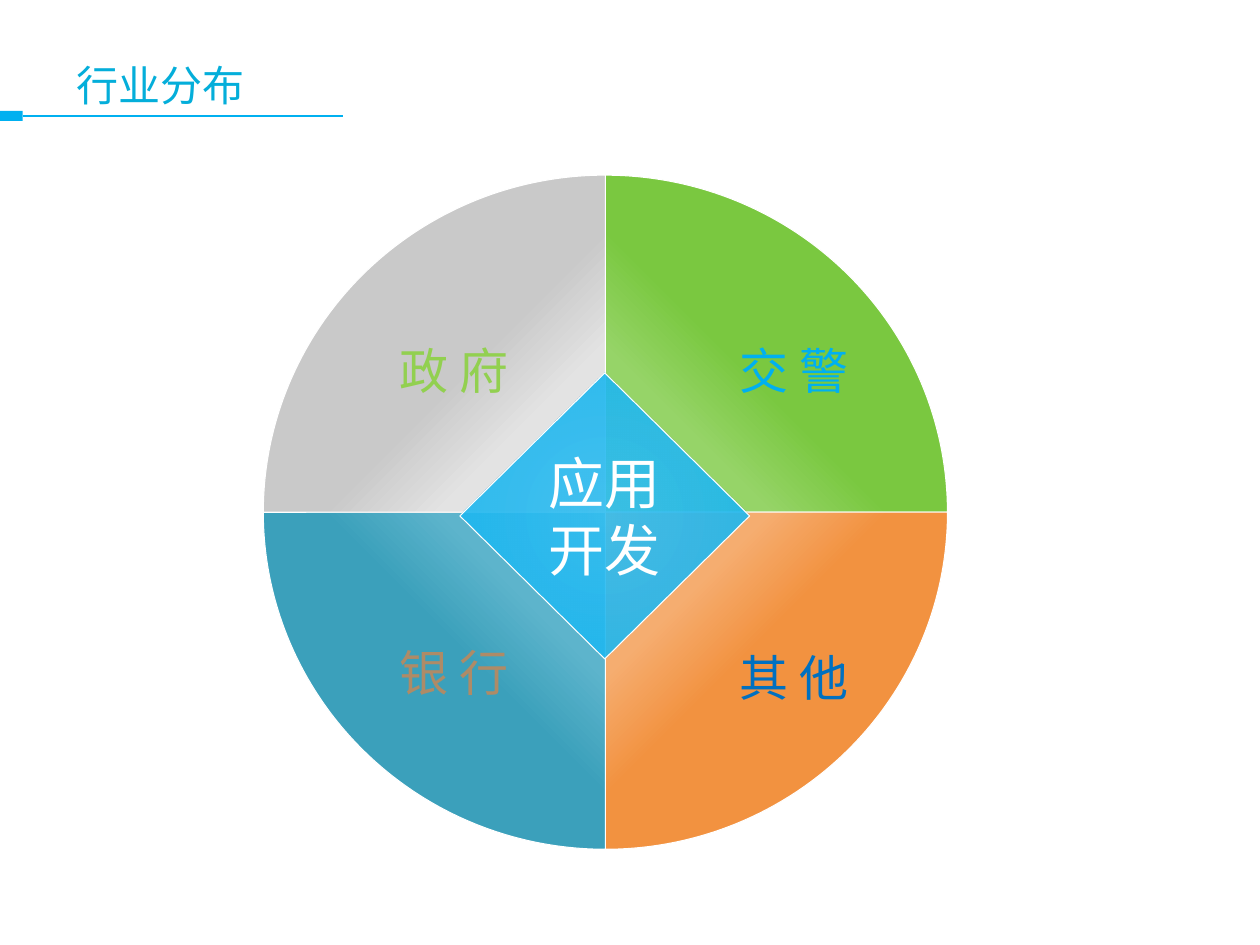
from lxml.etree import SubElement
from pptx import Presentation
from pptx.dml.color import RGBColor
from pptx.enum.shapes import MSO_CONNECTOR, MSO_SHAPE
from pptx.enum.text import MSO_ANCHOR, PP_ALIGN
from pptx.oxml.ns import qn
from pptx.util import Inches, Pt

WHITE = RGBColor(0xFF, 0xFF, 0xFF)
SKY = RGBColor(0x00, 0xB0, 0xF0)
CYAN = RGBColor(0x04, 0xAE, 0xDA)
BLUE = RGBColor(0x00, 0x70, 0xC0)
TAN = RGBColor(0xAE, 0x8B, 0x67)
LIME = RGBColor(0x92, 0xD0, 0x50)
GREENS = RGBColor(0xA1, 0xD9, 0x79), RGBColor(0x96, 0xD4, 0x68), RGBColor(0x7A, 0xC8, 0x40)
ORANGES = RGBColor(0xF6, 0xB6, 0x80), RGBColor(0xF5, 0xAD, 0x70), RGBColor(0xF2, 0x92, 0x40)
TEALS = RGBColor(0x6F, 0xBD, 0xD1), RGBColor(0x5D, 0xB4, 0xCC), RGBColor(0x3B, 0xA0, 0xBB)
GREYS = RGBColor(0xE6, 0xE6, 0xE6), RGBColor(0xE3, 0xE3, 0xE3), RGBColor(0xC9, 0xC9, 0xC9)
BLUES = RGBColor(0x33, 0xBE, 0xF1), RGBColor(0x19, 0xB6, 0xF0), RGBColor(0x00, 0x9D, 0xD6)

COLUMNS, ROWS = 100, 75
WHEEL = (20.9, 13.9, 54.3, 53.5)
INSETS = {
    "margin_left": Inches(0.04),
    "margin_right": Inches(0.04),
    "margin_top": Inches(0.02),
    "margin_bottom": Inches(0.02),
    "vertical_anchor": MSO_ANCHOR.MIDDLE,
    "word_wrap": True,
}


class SlideBuilder:
    font = "Noto Sans CJK SC"
    edge = Pt(0.6)

    def __init__(self, deck):
        self.column = deck.slide_width / COLUMNS
        self.row = deck.slide_height / ROWS
        self.slide = deck.slides.add_slide(deck.slide_layouts[5])

    def place(self, left, top, width, height):
        lengths = left * self.column, top * self.row, width * self.column, height * self.row
        return [round(length) for length in lengths]

    def set_lines(self, frame, lines, size, color, align, settings):
        for name, value in settings.items():
            setattr(frame, name, value)
        for index, line in enumerate(lines):
            paragraph = frame.add_paragraph() if index else frame.paragraphs[0]
            paragraph.alignment = align
            run = paragraph.add_run()
            run.text = line
            for name, value in {"size": Pt(size), "name": self.font}.items():
                setattr(run.font, name, value)
            run.font.color.rgb = color
            SubElement(run.font._element, qn("a:ea"), typeface=self.font)

    def title(self, text, box):
        heading = self.slide.shapes.title
        for name, value in zip(("left", "top", "width", "height"), self.place(*box)):
            setattr(heading, name, value)
        self.set_lines(heading.text_frame, [text], 24, CYAN, PP_ALIGN.LEFT,
                       {"vertical_anchor": MSO_ANCHOR.MIDDLE, "word_wrap": True})

    def bar(self, box):
        marker = self.slide.shapes.add_shape(MSO_SHAPE.RECTANGLE, *self.place(*box))
        marker.shadow.inherit = False
        marker.fill.solid()
        marker.fill.fore_color.rgb = SKY
        marker.line.fill.background()
        return marker

    def rule(self, marker, end):
        x, y = self.place(end, 9.2, 0, 0)[:2]
        underline = self.slide.shapes.add_connector(MSO_CONNECTOR.STRAIGHT, 0, y, x, y)
        underline.begin_connect(marker, 3)
        underline.line.color.rgb = SKY
        underline.line.width = Pt(0.75)
        SubElement(underline._element.spPr, qn("a:effectLst"))

    def glow(self, shape, stops, focus, alpha=100):
        shape.shadow.inherit = False
        shape.line.color.rgb = WHITE
        shape.line.width = self.edge
        shape.fill.gradient()
        gradient = shape._element.spPr.find(qn("a:gradFill"))
        for child in list(gradient):
            gradient.remove(child)
        stop_list = SubElement(gradient, qn("a:gsLst"))
        for position, color in stops:
            stop = SubElement(stop_list, qn("a:gs"), pos=str(position * 1000))
            tone = SubElement(stop, qn("a:srgbClr"), val=str(color))
            if alpha < 100:
                SubElement(tone, qn("a:alpha"), val=str(alpha * 1000))
        circle = SubElement(gradient, qn("a:path"))
        circle.set("path", "circle")
        x, y = focus
        sides = {"l": x, "t": y, "r": 100 - x, "b": 100 - y}
        SubElement(circle, qn("a:fillToRect"),
                   {side: str(share * 1000) for side, share in sides.items()})

    def sector(self, text, color, tones, start, focus, label_box):
        group = self.slide.shapes.add_group_shape()
        quarter = group.shapes.add_shape(MSO_SHAPE.PIE, *self.place(*WHEEL))
        for index, degrees in enumerate((start, start + 90)):
            quarter.adjustments[index] = degrees % 360 * 0.6
        light, middle, dark = tones
        self.glow(quarter, [(0, light), (62, middle), (71, dark), (100, dark)], focus)
        label = group.shapes.add_textbox(*self.place(*label_box))
        self.set_lines(label.text_frame, [text], 28, color, PP_ALIGN.CENTER, INSETS)

    def hub(self, lines, box):
        diamond = self.slide.shapes.add_shape(MSO_SHAPE.DIAMOND, *self.place(*box))
        self.glow(diamond, zip((0, 88, 100), BLUES), (50, 50), alpha=90)
        self.set_lines(diamond.text_frame, lines, 32, WHITE, PP_ALIGN.CENTER, INSETS)


def main():
    deck = Presentation()
    deck.slide_width, deck.slide_height = Inches(10), Inches(7.5)
    builder = SlideBuilder(deck)
    marker = builder.bar((0, 8.8, 1.8, 0.8))
    builder.rule(marker, 27.2)
    builder.title("行业分布", (5.1, 4.3, 90, 4.9))
    industries = [
        ("交 警", SKY, GREENS, 270, (0, 100), (56.1, 27.7, 13.8, 3.3)),
        ("其 他", BLUE, ORANGES, 0, (0, 0), (58, 52, 10, 3.4)),
        ("银 行", TAN, TEALS, 90, (100, 0), (30, 51.3, 12, 4)),
        ("政 府", LIME, GREYS, 180, (100, 100), (30.9, 27.1, 10.3, 4.5)),
    ]
    for industry in industries:
        builder.sector(*industry)
    builder.hub(["应用", "开发"], (36.5, 29.6, 23, 22.7))
    deck.save("out.pptx")


if __name__ == "__main__":
    main()
